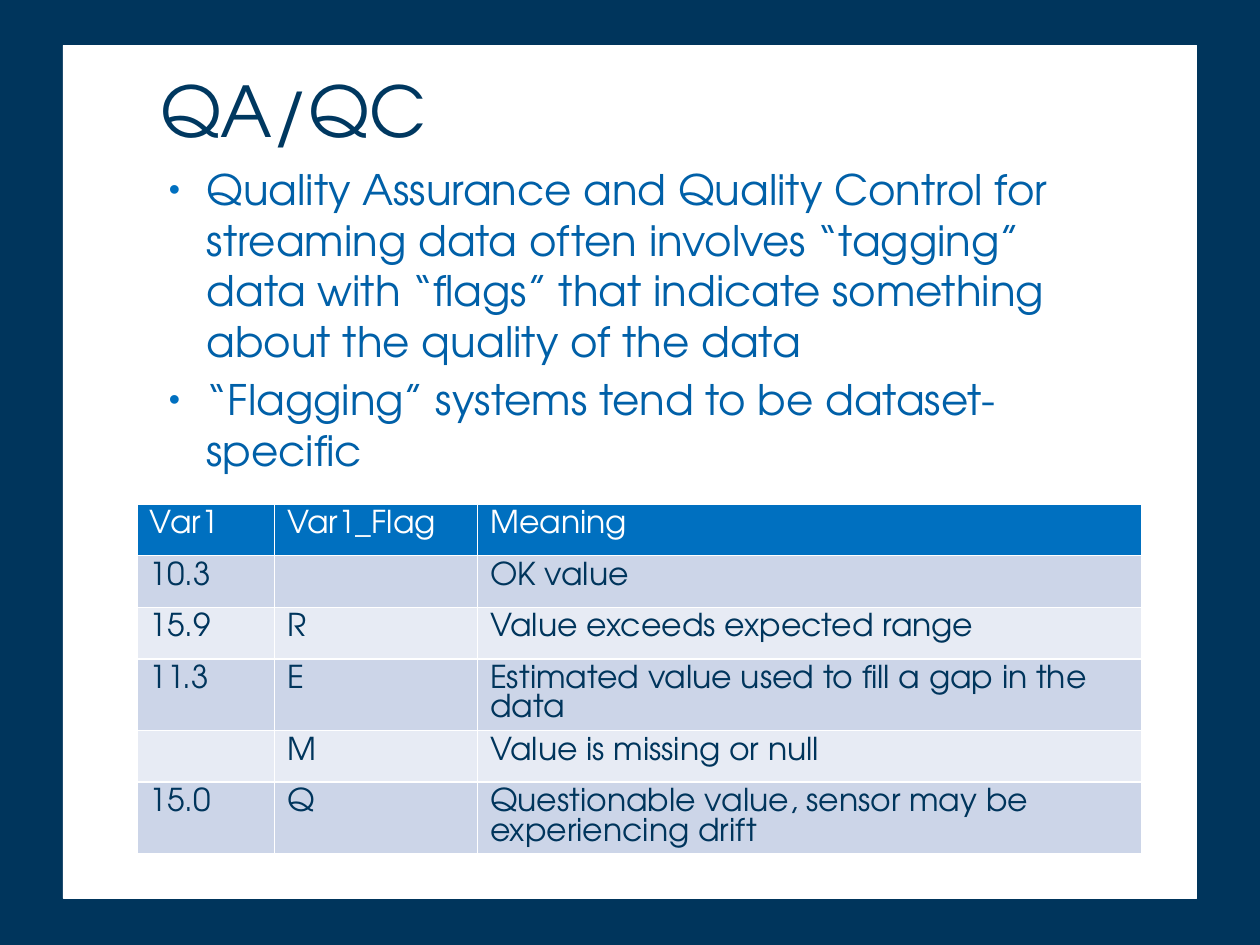
from lxml import etree
from pptx import Presentation
from pptx.dml.color import RGBColor
from pptx.enum.shapes import MSO_SHAPE
from pptx.enum.text import MSO_ANCHOR, MSO_AUTO_SIZE, PP_ALIGN
from pptx.oxml.ns import qn
from pptx.util import Inches, Pt

FONT = "TeX Gyre Adventor"
NAVY = "00355C"
BLUE = "0070C0"
WHITE = "FFFFFF"
BANDS = ("CCD5E8", "E7EBF4")

POINTS = (
    "Quality Assurance and Quality Control for streaming data often involves "
    "“tagging” data with “flags” that indicate something about the quality of the data",
    "“Flagging” systems tend to be dataset-specific",
)
FLAG_ROWS = (
    ("Var1", "Var1_Flag", "Meaning"),
    ("10.3", "", "OK value"),
    ("15.9", "R", "Value exceeds expected range"),
    ("11.3", "E", "Estimated value used to fill a gap in the data"),
    ("", "M", "Value is missing or null"),
    ("15.0", "Q", "Questionable value, sensor may be experiencing drift"),
)
COLUMN_WIDTHS = (1.09, 1.61, 5.27)
ROW_HEIGHT = 0.41


def paint(fill, color):
    """Give a fill a solid colour."""
    fill.solid()
    fill.fore_color.rgb = RGBColor.from_string(color)


def style_paragraph(paragraph, size, color):
    paragraph.alignment = PP_ALIGN.LEFT
    font = paragraph.font
    font.name, font.size, font.bold = FONT, Pt(size), False
    font.color.rgb = RGBColor.from_string(color)


def place(shape, left, top, width, height):
    shape.left, shape.top = Inches(left), Inches(top)
    shape.width, shape.height = Inches(width), Inches(height)


def add_bullet(paragraph):
    """Hang a small blue bullet in front of the paragraph."""
    properties = paragraph._p.get_or_add_pPr()
    properties.set("marL", str(Inches(0.38)))
    properties.set("indent", str(Inches(-0.3)))
    color = etree.SubElement(properties, qn("a:buClr"))
    etree.SubElement(color, qn("a:srgbClr"), val=BLUE)
    etree.SubElement(properties, qn("a:buSzPct"), val="76000")
    etree.SubElement(properties, qn("a:buFont"), typeface="Arial")
    etree.SubElement(properties, qn("a:buChar"), char="•")


def add_panel(slide, left, top, width, height):
    """Put the white panel behind everything else."""
    panel = slide.shapes.add_shape(
        MSO_SHAPE.RECTANGLE, Inches(left), Inches(top), Inches(width), Inches(height))
    panel.shadow.inherit = False
    paint(panel.fill, WHITE)
    paint(panel.line.fill, WHITE)
    panel.line.width = Pt(0.5)
    slide.shapes._spTree.insert(2, panel._element)


def fill_title(title, text, box):
    place(title, *box)
    frame = title.text_frame
    frame.text = text
    frame.auto_size = MSO_AUTO_SIZE.NONE
    frame.vertical_anchor = MSO_ANCHOR.BOTTOM
    style_paragraph(frame.paragraphs[0], 40, "003860")


def fill_body(body, points, box):
    place(body, *box)
    frame = body.text_frame
    frame.text = "\n".join(points)
    frame.auto_size = MSO_AUTO_SIZE.NONE
    frame.vertical_anchor = MSO_ANCHOR.TOP
    for paragraph in frame.paragraphs:
        style_paragraph(paragraph, 24, "0060A8")
        paragraph.space_before = Pt(4.8)
        add_bullet(paragraph)


def add_flag_table(slide, left, top):
    table = slide.shapes.add_table(
        len(FLAG_ROWS), len(COLUMN_WIDTHS), Inches(left), Inches(top),
        Inches(sum(COLUMN_WIDTHS)), Inches(ROW_HEIGHT * len(FLAG_ROWS))).table
    for column, width in zip(table.columns, COLUMN_WIDTHS):
        column.width = Inches(width)
    for row_index, texts in enumerate(FLAG_ROWS):
        is_header = row_index == 0
        for column_index, text in enumerate(texts):
            cell = table.cell(row_index, column_index)
            paint(cell.fill, BLUE if is_header else BANDS[(row_index - 1) % 2])
            cell.text = text
            style_paragraph(cell.text_frame.paragraphs[0], 18, WHITE if is_header else NAVY)


def build_slide(presentation):
    slide = presentation.slides.add_slide(presentation.slide_layouts[1])
    paint(slide.background.fill, NAVY)
    add_panel(slide, 0.5, 0.36, 9, 6.77)
    fill_title(slide.shapes.title, "QA/QC", (1.17, 0, 7.68, 1.25))
    fill_body(slide.placeholders[1], POINTS, (1.16, 1.25, 7.41, 3.84))
    add_flag_table(slide, 1.09, 4)


def main():
    presentation = Presentation()
    presentation.slide_width, presentation.slide_height = Inches(10), Inches(7.5)
    build_slide(presentation)
    presentation.save("out.pptx")


if __name__ == "__main__":
    main()
